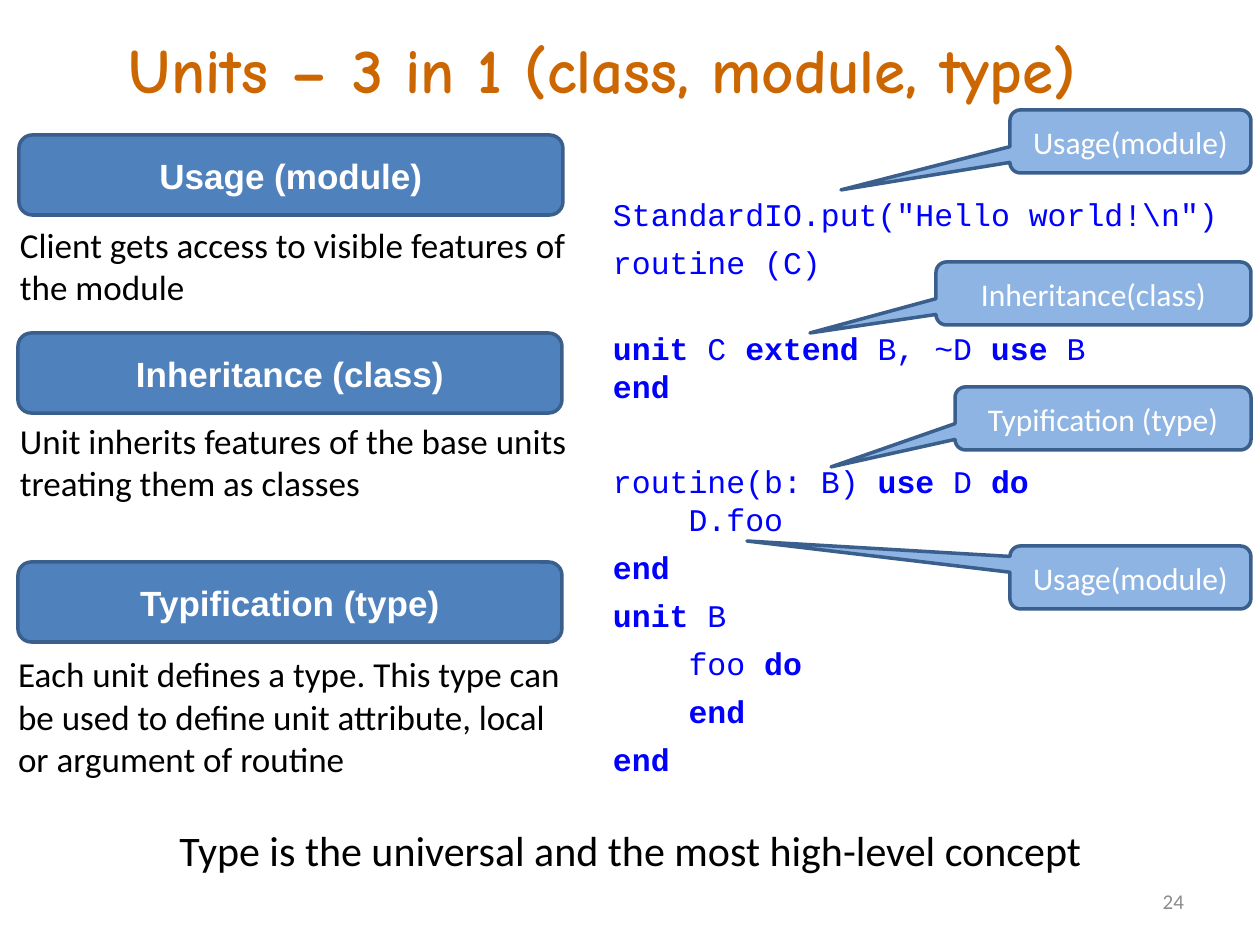
import pptx
import pptx.dml.color
import pptx.enum.shapes
import pptx.enum.text
import pptx.util

EMU_PER_PX = 914400 / 126
SHAPES = pptx.enum.shapes.MSO_SHAPE
ALIGN = pptx.enum.text.PP_ALIGN
ANCHOR = pptx.enum.text.MSO_ANCHOR

OUTLINE = "3A5F8C"
TITLE = {"name": "Comic Neue", "size": 36, "bold": True, "color": "CC6600"}
HEADING = {"name": "Arial", "size": 20, "bold": True, "color": "FFFFFF"}
BODY = {"name": "Calibri", "size": 20, "color": "000000"}
CALLOUT = {"name": "Calibri", "size": 18, "color": "FFFFFF"}
CODE = {"name": "Courier New", "size": 18, "color": "0000FF"}
SUMMARY = {"name": "Calibri", "size": 24, "color": "000000"}
NUMBER = {"name": "Calibri", "size": 12, "color": "8C8C8C"}

CODE_LINE = 21.6
CODE_GAP = 5.8
CODE_BREAK = CODE_LINE + CODE_GAP

# Space before in points, then the text; bold words stand between asterisks.
CODE_PARAS = [
    (0, 'StandardIO.put("Hello world!\\n")'),
    (CODE_GAP, "routine (C)"),
    (CODE_BREAK, "*unit* C *extend* B, ~D *use* B\n*end*"),
    (CODE_BREAK + CODE_GAP, "routine(b: B) *use* D *do*\n    D.foo"),
    (CODE_GAP, "*end*"),
    (CODE_GAP, "*unit* B"),
    (CODE_GAP, "    foo *do*"),
    (CODE_GAP, "    *end*"),
    (CODE_GAP, "*end*"),
]

# Heading, its box, explanation, box of the explanation.
ROLES = [
    ("Usage (module)", (19, 135, 544, 80),
     "Client gets access to visible features of the module", (20, 217, 547, 97)),
    ("Inheritance (class)", (18, 333, 544, 80),
     "Unit inherits features of the base units treating them as classes",
     (20, 413, 547, 97)),
    ("Typification (type)", (18, 562, 544, 80),
     "Each unit defines a type. This type can be used to define unit attribute, "
     "local or argument of routine", (18, 647, 547, 140)),
]

CALLOUT_RIGHT = 1251
CALLOUT_HEIGHT = 63
# Label, left, top, point of the tail.
CALLOUTS = [
    ("Usage(module)", 1010, 110, (841, 190)),
    ("Inheritance(class)", 936, 262, (810, 333)),
    ("Typification (type)", 955, 387, (831, 467)),
    ("Usage(module)", 1010, 546, (747, 541)),
]


def px(length):
    return pptx.util.Emu(round(length * EMU_PER_PX))


def rgb(color):
    return pptx.dml.color.RGBColor.from_string(color)


def format_font(font, style):
    for key, value in style.items():
        if key == "color":
            font.color.rgb = rgb(value)
        else:
            setattr(font, key, pptx.util.Pt(value) if key == "size" else value)


def set_frame(shape, inset, anchor):
    frame = shape.text_frame
    values = {"word_wrap": True, "vertical_anchor": anchor,
              "margin_left": px(inset), "margin_right": px(inset),
              "margin_top": px(6), "margin_bottom": px(6)}
    for key, value in values.items():
        setattr(frame, key, value)
    return frame


def write_line(shape, text, style, align, inset=13, anchor=ANCHOR.TOP):
    para = set_frame(shape, inset, anchor).paragraphs[0]
    para.alignment = align
    span = para.add_run()
    span.text = text
    format_font(span.font, style)


def add_text(page, box, text, style, align=ALIGN.LEFT, **frame):
    shape = page.shapes.add_textbox(*map(px, box))
    write_line(shape, text, style, align, **frame)


def add_panel(page, kind, box, fill):
    """Add a filled, outlined shape without a shadow."""
    shape = page.shapes.add_shape(kind, *map(px, box))
    shape.shadow.inherit = False
    shape.fill.solid()
    shape.fill.fore_color.rgb = rgb(fill)
    shape.line.color.rgb = rgb(OUTLINE)
    shape.line.width = pptx.util.Pt(2)
    return shape


def add_role(page, heading, heading_box, text, text_box):
    panel = add_panel(page, SHAPES.ROUNDED_RECTANGLE, heading_box, "4F81BD")
    write_line(panel, heading, HEADING, ALIGN.CENTER, inset=0, anchor=ANCHOR.MIDDLE)
    add_text(page, text_box, text, BODY, inset=0)


def add_callout(page, label, left, top, tip):
    width = CALLOUT_RIGHT - left
    box = (left, top, width, CALLOUT_HEIGHT)
    shape = add_panel(page, SHAPES.ROUNDED_RECTANGULAR_CALLOUT, box, "8EB4E3")
    shape.adjustments[0] = (tip[0] - left) / width - 0.5
    shape.adjustments[1] = (tip[1] - top) / CALLOUT_HEIGHT - 0.5
    write_line(shape, label, CALLOUT, ALIGN.CENTER, anchor=ANCHOR.MIDDLE)


def add_code(page, box):
    frame = set_frame(page.shapes.add_textbox(*map(px, box)), 0, ANCHOR.TOP)
    for index, (gap, text) in enumerate(CODE_PARAS):
        para = frame.add_paragraph() if index else frame.paragraphs[0]
        para.line_spacing = pptx.util.Pt(CODE_LINE)
        para.space_before = pptx.util.Pt(gap)
        for row, line in enumerate(text.split("\n")):
            if row:
                para.add_line_break()
            for part, words in enumerate(line.split("*")):
                if words:
                    span = para.add_run()
                    span.text = words
                    format_font(span.font, {**CODE, "bold": part % 2 == 1})


def main():
    deck = pptx.Presentation()
    deck.slide_width, deck.slide_height = px(1260), px(945)
    page = deck.slides.add_slide(deck.slide_layouts[6])
    add_text(page, (116, 24, 1119, 81), "Units – 3 in 1 (class, module, type)", TITLE)
    for role in ROLES:
        add_role(page, *role)
    add_code(page, (613, 189, 647, 599))
    for callout in CALLOUTS:
        add_callout(page, *callout)
    add_text(page, (116, 819, 1029, 63),
             "Type is the universal and the most high-level concept",
             SUMMARY, ALIGN.CENTER)
    add_text(page, (1124, 876, 73, 50), "24", NUMBER, ALIGN.RIGHT,
             anchor=ANCHOR.MIDDLE)
    deck.save("out.pptx")


if __name__ == "__main__":
    main()
